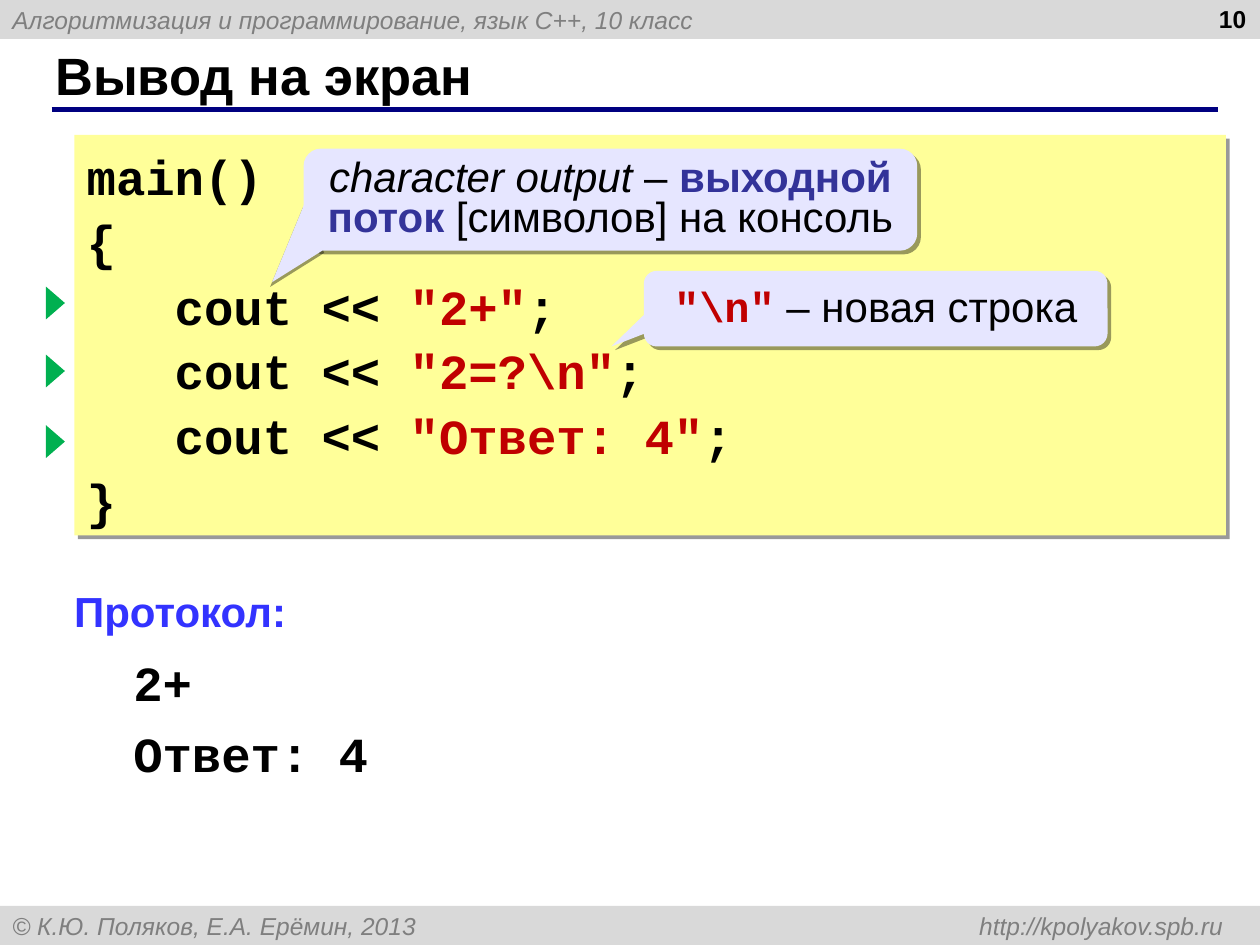
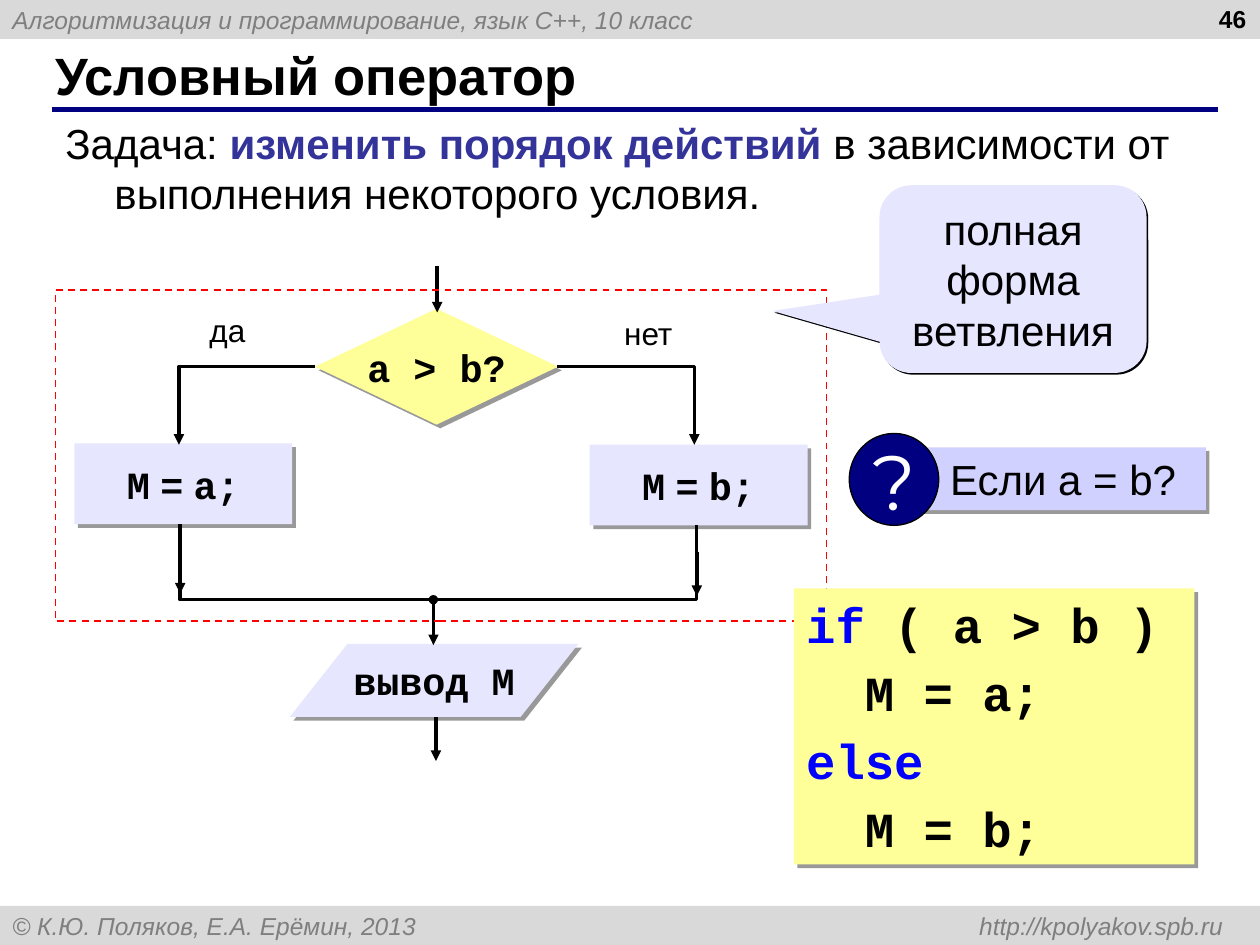
"""Build two programming lesson slides: screen output and branching."""
from dataclasses import dataclass, field
from typing import Any, NamedTuple, Optional

from lxml import etree
from pptx import Presentation
from pptx import util as u
from pptx.dml import color as col
from pptx.enum import dml, shapes, text
from pptx.oxml import ns

HUES = {
    "black": "000000", "white": "FFFFFF", "band": "D9D9D9", "gray": "7F7F7F",
    "navy": "000080", "yellow": "FFFF99", "lilac": "E6E6FF", "violet": "D1D1FF",
    "indigo": "333399", "azure": "3333FF", "blue": "0000FF", "crimson": "C00000",
    "red": "FF0000", "green": "00B050",
}
SANS, MONO = "Arial", "Courier New"
KIND = shapes.MSO_SHAPE
BALLOON = KIND.ROUNDED_RECTANGULAR_CALLOUT
MID = text.MSO_ANCHOR.MIDDLE
CENTER, RIGHT = text.PP_ALIGN.CENTER, text.PP_ALIGN.RIGHT


class Run(NamedTuple):
    """A piece of text with what differs from the font of its box."""
    words: str
    font: dict = {}


class Shade(NamedTuple):
    """An outer shadow: opacity and angle in units of a file, distance in points."""
    alpha: int = 40
    dist: float = 3
    angle: int = 45


class Line(NamedTuple):
    """An outline or stroke."""
    hue: str = "black"
    width: float = 2
    dash: Any = None


@dataclass
class Box:
    """A shape or, without a kind, a text box."""
    at: tuple
    paras: list = field(default_factory=list)
    kind: Any = None
    fill: Optional[str] = None
    shade: Optional[Shade] = None
    line: Optional[Line] = None
    adj: tuple = ()
    turn: int = 0
    font: dict = field(default_factory=dict)
    para: dict = field(default_factory=dict)
    frame: dict = field(default_factory=dict)
    gap: float = 0


BODY = dict(name=SANS, size=u.Pt(24), bold=False, italic=False, hue="black")
CODE = dict(name=MONO, size=u.Pt(28), bold=True)
NODE = dict(CODE, size=u.Pt(22))
SMALL = dict(size=u.Pt(14), italic=True, hue="gray")
KEY = dict(bold=True, hue="indigo")
STRING = dict(hue="crimson")
WORD = dict(hue="blue")
CAST = Shade()


def put(thing: Any, values: dict) -> None:
    """Set each attribute in a dict of format values."""
    for name, value in values.items():
        setattr(thing, name, value)


def tint(hue: str) -> col.RGBColor:
    """Look up a colour by name."""
    return col.RGBColor.from_string(HUES[hue])


def node(parent: Any, tag: str, **attrs: Any) -> Any:
    """Append a drawing element."""
    return etree.SubElement(parent, ns.qn(tag), {k: str(v) for k, v in attrs.items()})


def cast(shape: Any, shade: Optional[Shade]) -> None:
    """Replace the theme shadow with the given one or with none."""
    shape.shadow.inherit = False
    if shade:
        effects = shape._element.spPr.find(ns.qn("a:effectLst"))
        outer = node(effects, "a:outerShdw", blurRad=0, dist=u.Pt(shade.dist),
                     dir=shade.angle * 60000, algn="ctr", rotWithShape=0)
        node(node(outer, "a:srgbClr", val=HUES["black"]), "a:alpha", val=shade.alpha * 1000)


def paint(shape: Any, fill: Optional[str]) -> None:
    """Fill a shape, or leave it open."""
    if fill:
        shape.fill.solid()
        shape.fill.fore_color.rgb = tint(fill)
    else:
        shape.fill.background()


def stroke(line: Any, look: Optional[Line], arrow: bool = False) -> None:
    """Format a line and, on demand, its arrowhead."""
    if look is None:
        line.fill.background()
        return
    line.color.rgb = tint(look.hue)
    put(line, dict(width=u.Pt(look.width), dash_style=look.dash))
    if arrow:
        node(line._get_or_add_ln(), "a:tailEnd", type="triangle", w="med", len="med")


def write(frame: Any, box: Box) -> None:
    """Fill a text frame with the paragraphs of a box."""
    put(frame, dict(word_wrap=True, vertical_anchor=text.MSO_ANCHOR.TOP) | box.frame)
    for i, runs in enumerate(box.paras):
        para = frame.paragraphs[0] if i == 0 else frame.add_paragraph()
        put(para, dict(alignment=text.PP_ALIGN.LEFT) | box.para)
        if i and box.gap:
            para.space_before = u.Pt(box.gap)
        for words, extra in runs:
            run = para.add_run()
            run.text = words
            look = BODY | box.font | extra
            run.font.color.rgb = tint(look.pop("hue"))
            put(run.font, look)


def draw(slide: Any, box: Box) -> Any:
    """Draw one box."""
    place = [u.Inches(v) for v in box.at]
    if box.kind is None:
        shape = slide.shapes.add_textbox(*place)
    else:
        shape = slide.shapes.add_shape(box.kind, *place)
        cast(shape, box.shade)
        paint(shape, box.fill)
        stroke(shape.line, box.line)
        shape.rotation = box.turn
        for i, value in enumerate(box.adj):
            shape.adjustments[i] = value
    if box.paras:
        write(shape.text_frame, box)
    return shape


def trace(slide: Any, points: list, fill: Optional[str] = None,
          shade: Optional[Shade] = None, line: Optional[Line] = None,
          arrow: bool = False) -> None:
    """Draw an outline through points, closed if it has a fill."""
    first, *rest = [(u.Inches(x), u.Inches(y)) for x, y in points]
    pen = slide.shapes.build_freeform(*first, scale=1.0)
    pen.add_line_segments(rest, close=fill is not None)
    shape = pen.convert_to_shape()
    cast(shape, shade)
    paint(shape, fill)
    stroke(shape.line, line, arrow)


def link(slide: Any, start: tuple, end: tuple, look: Line = Line(), arrow: bool = True) -> None:
    """Draw a straight line or arrow."""
    ends = [u.Inches(v) for v in start + end]
    wire = slide.shapes.add_connector(shapes.MSO_CONNECTOR.STRAIGHT, *ends)
    stroke(wire.line, look, arrow)
    node(wire._element.spPr, "a:effectLst")


def start(deck: Any, title: str, number: int) -> Any:
    """Add a slide with its bands, title, rule and number."""
    slide = deck.slides.add_slide(deck.slide_layouts[6])
    bands = [(0, "Алгоритмизация и программирование, язык C++, 10 класс"),
             (7.19, "© К.Ю. Поляков, Е.А. Ерёмин, 2013\thttp://kpolyakov.spb.ru")]
    for top, words in bands:
        band = draw(slide, Box((0, top, 10, 0.31), [[Run(words)]], KIND.RECTANGLE, "band",
                               font=SMALL, frame=dict(vertical_anchor=MID)))
        if "\t" in words:
            props = band.text_frame.paragraphs[0]._p.get_or_add_pPr()
            node(node(props, "a:tabLst"), "a:tab", pos=u.Inches(9.61), algn="r")
    link(slide, (0.41, 0.87), (9.67, 0.87), Line("navy", 3), arrow=False)
    draw(slide, Box((0.34, 0.33, 9.16, 0.52), [[Run(title)]],
                    font=dict(size=u.Pt(30), bold=True), frame=dict(vertical_anchor=MID)))
    draw(slide, Box((7.66, 0, 2.33, 0.31), [[Run(str(number))]],
                    font=dict(size=u.Pt(14), bold=True), para=dict(alignment=RIGHT),
                    frame=dict(margin_top=u.Inches(0.03))))
    return slide


def output(deck: Any) -> None:
    """Build the slide on screen output."""
    slide = start(deck, "Вывод на экран", 10)
    calls = [[Run("   cout << "), Run(f'"{words}"', STRING), Run(";")]
             for words in ("2+", "2=?\\n", "Ответ: 4")]
    draw(slide, Box((0.59, 1.07, 9.14, 3.18), [[Run("main()")], [Run("{")], *calls, [Run("}")]],
                    KIND.RECTANGLE, "yellow", CAST, font=CODE, para=dict(line_spacing=1.1)))
    draw(slide, Box((0.49, 4.6, 9.06, 0.5), [[Run("Протокол:")]],
                    font=dict(bold=True, hue="azure")))
    draw(slide, Box((0.96, 5.13, 8.5, 1.1), [[Run("2+")], [Run("Ответ: 4")]],
                    font=CODE, gap=7))
    for top in (2.33, 2.87, 3.43):
        draw(slide, Box((0.31, top, 0.26, 0.15), kind=KIND.ISOSCELES_TRIANGLE,
                        fill="green", turn=90))
    notes = [
        Box((5.11, 2.15, 3.68, 0.6),
            [[Run('"\\n"', dict(name=MONO, bold=True, hue="crimson")), Run(" – новая строка")]],
            adj=(-0.57, 0.5, 0.17)),
        Box((2.41, 1.18, 4.87, 0.81),
            [[Run("character output", dict(italic=True)), Run(" – "),
              Run("выходной поток ", KEY), Run("[символов] на консоль")]],
            adj=(-0.5, -0.13, 0.17), para=dict(line_spacing=0.8)),
    ]
    for note in notes:
        note.para["alignment"] = CENTER
        put(note, dict(kind=BALLOON, fill="lilac", shade=CAST))
        draw(slide, note)
    trace(slide, [(2.16, 2.24), (2.59, 1.97), (2.42, 1.61)], "lilac", Shade(angle=113))


def branch(deck: Any) -> None:
    """Build the slide on the conditional statement."""
    slide = start(deck, "Условный оператор", 46)
    task = draw(slide, Box((0.42, 0.88, 9.25, 0.9), [[
        Run("Задача: "), Run("изменить порядок действий", KEY),
        Run(" в зависимости от выполнения некоторого условия.")]]))
    props = task.text_frame.paragraphs[0]._p.get_or_add_pPr()
    props.set("marL", str(u.Inches(0.39)))
    props.set("indent", str(-u.Inches(0.39)))

    equal = Run(" = ", dict(name=SANS))
    steps = [
        ((0.59, 3.52, 1.73, 0.64), KIND.RECTANGLE, "lilac", [Run("M"), equal, Run("a;")]),
        ((4.68, 3.53, 1.73, 0.64), KIND.RECTANGLE, "lilac", [Run("M"), equal, Run("b;")]),
        ((2.5, 2.45, 1.93, 0.92), KIND.FLOWCHART_DECISION, "yellow", [Run("a > b?")]),
        ((2.3, 5.11, 2.29, 0.58), KIND.FLOWCHART_DATA, "lilac", [Run("вывод M")]),
    ]
    middle = dict(vertical_anchor=MID, word_wrap=False)
    for at, kind, fill, runs in steps:
        draw(slide, Box(at, [runs], kind, fill, CAST, font=NODE,
                        para=dict(alignment=CENTER), frame=middle))
    for x, top, end in [(3.47, 2.11, 2.48), (3.46, 5.69, 6.04), (1.43, 4.36, 4.71),
                        (5.53, 4.38, 4.73), (3.44, 4.77, 5.12)]:
        link(slide, (x, top), (x, end))
    for inner, outer in [(4.42, 5.51), (2.5, 1.42)]:
        trace(slide, [(inner, 2.91), (outer, 2.91), (outer, 3.53)], line=Line(), arrow=True)
    trace(slide, [(1.43, 4.16), (1.43, 4.76), (5.53, 4.76), (5.53, 4.17)], line=Line())
    draw(slide, Box((3.41, 4.73, 0.06, 0.06), kind=KIND.OVAL, fill="black",
                    line=Line(width=1)))
    for left, top, word in [(1.43, 2.42, "да"), (4.77, 2.44, "нет")]:
        draw(slide, Box((left, top, 0.75, 0.4), [[Run(word)]], font=dict(size=u.Pt(18)),
                        para=dict(alignment=CENTER)))
    draw(slide, Box((0.44, 2.3, 6.12, 2.63), kind=KIND.RECTANGLE,
                    line=Line("red", 1, dml.MSO_LINE.DASH)))

    draw(slide, Box((6.98, 1.47, 2.12, 1.49), [[Run("полная форма ветвления")]], BALLOON,
                    "lilac", Shade(100, 1.4), adj=(-0.9, 0.17, 0.17),
                    para=dict(alignment=CENTER), frame=dict(vertical_anchor=MID)))
    draw(slide, Box((7.25, 3.55, 2.32, 0.5), [[Run("Если a = b?")]], KIND.RECTANGLE,
                    "violet", CAST, frame=dict(margin_left=u.Inches(0.29))))
    draw(slide, Box((6.74, 3.44, 0.71, 0.73), [[Run("?")]], KIND.OVAL, "navy",
                    line=Line(width=0.75), para=dict(alignment=CENTER), frame=middle,
                    font=dict(name="Montserrat", size=u.Pt(44), hue="white")))
    draw(slide, Box((6.3, 4.67, 3.18, 2.19),
                    [[Run("if", WORD), Run(" ( a > b )")], [Run("  M = a;")],
                     [Run("else", WORD)], [Run("  M = b;")]],
                    KIND.RECTANGLE, "yellow", CAST, font=CODE, gap=5.2))


def main() -> None:
    """Build and save the deck."""
    deck = Presentation()
    put(deck, dict(slide_width=u.Inches(10), slide_height=u.Inches(7.5)))
    output(deck)
    branch(deck)
    deck.save("out.pptx")


if __name__ == "__main__":
    main()
